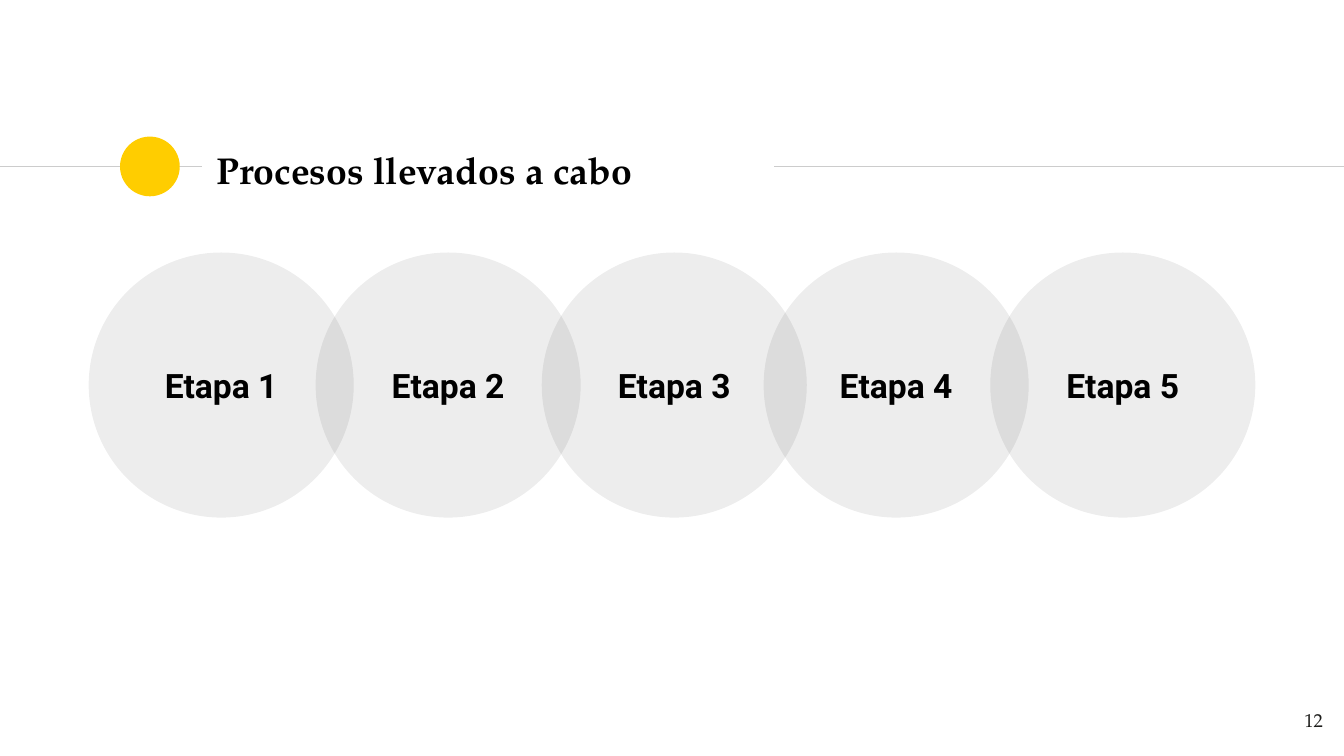
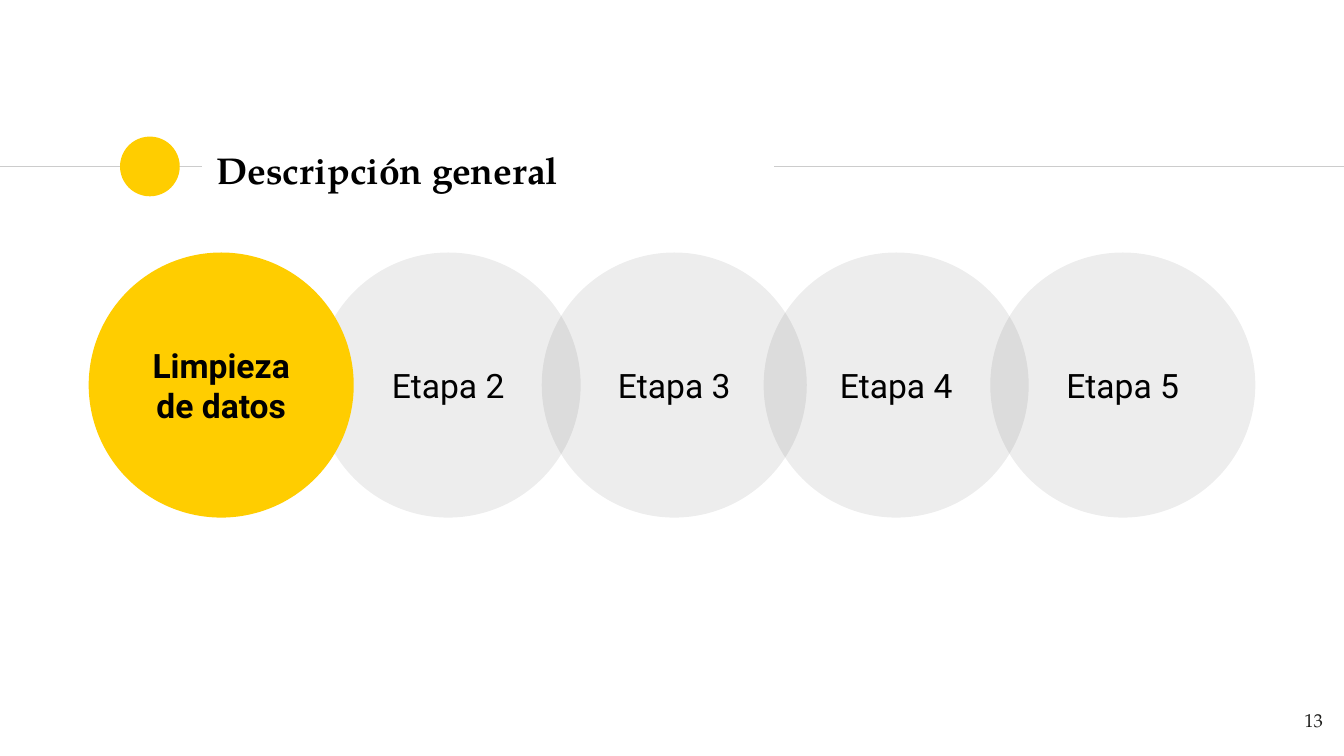
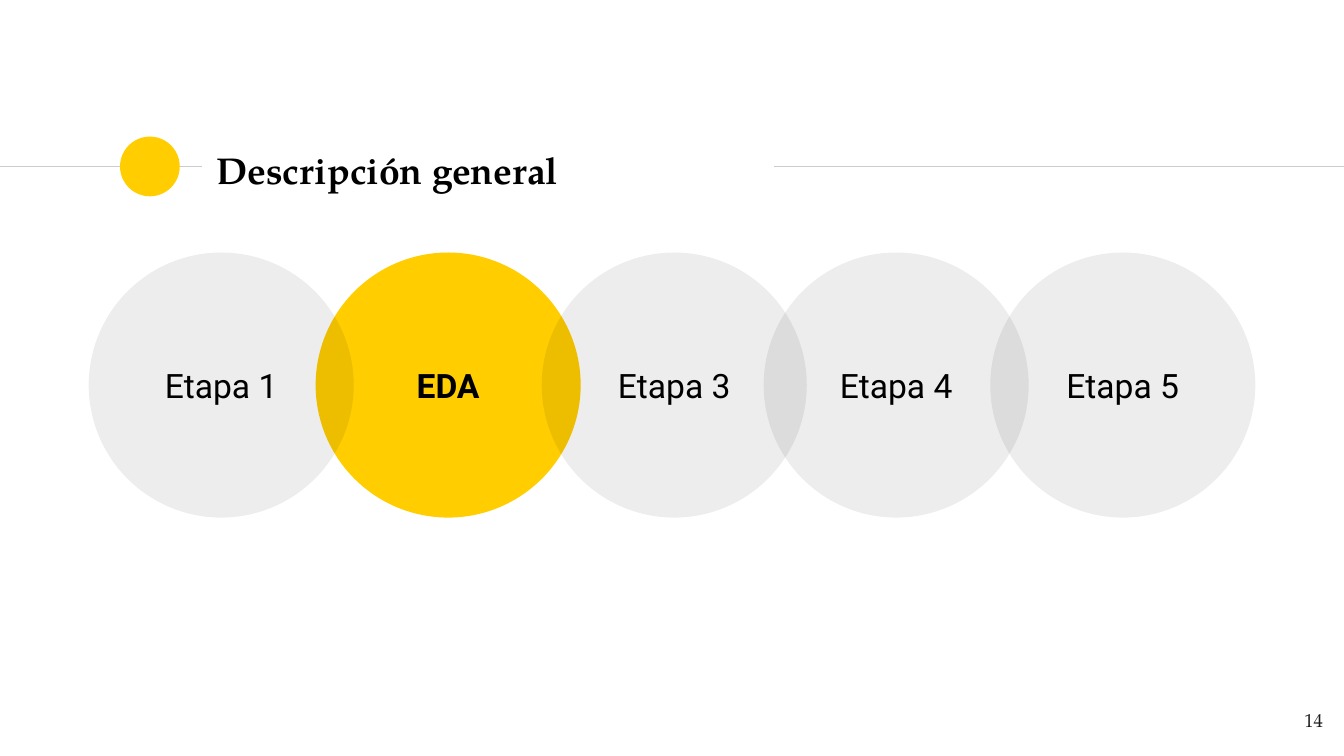
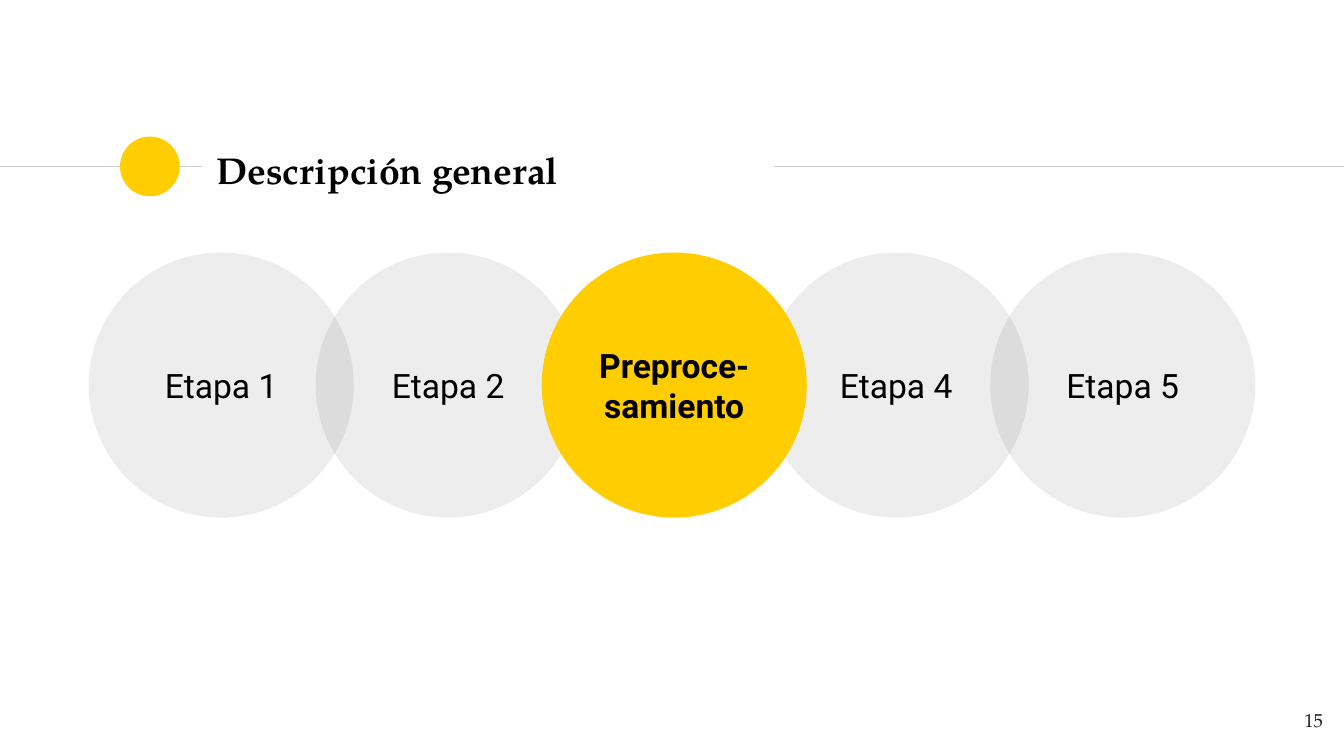
import dataclasses

import pptx
import pptx.dml.color
import pptx.enum.shapes
import pptx.enum.text
import pptx.oxml.ns
import pptx.util
import lxml.etree

Pt = pptx.util.Pt
Rgb = pptx.dml.color.RGBColor.from_string
Align = pptx.enum.text.PP_ALIGN
Anchor = pptx.enum.text.MSO_ANCHOR
Oval = pptx.enum.shapes.MSO_SHAPE.OVAL
Line = pptx.enum.shapes.MSO_CONNECTOR.STRAIGHT
qn = pptx.oxml.ns.qn


@dataclasses.dataclass(frozen=True)
class Theme:
    accent: str = "FFCD00"
    black: str = "000000"
    dark: str = "1D1D1B"
    rule: str = "CCCCCC"
    serif: str = "TeX Gyre Pagella"
    sans: str = "Roboto"
    title: int = 20
    label: int = 18
    number: int = 10
    inset: float = 7.2
    shade: int = 7


theme = Theme()


def write(shape, text, *, size, font, color=theme.black, bold=False,
          align=Align.LEFT, anchor=Anchor.MIDDLE):
    frame = shape.text_frame
    frame.word_wrap = True
    frame.vertical_anchor = anchor
    frame.margin_left = frame.margin_right = Pt(theme.inset)
    frame.margin_top = frame.margin_bottom = Pt(theme.inset)
    para = frame.paragraphs[0]
    para.alignment = align
    run = para.add_run()
    run.text = text
    run.font.size = Pt(size)
    run.font.name = font
    run.font.bold = bold
    run.font.color.rgb = Rgb(color)


def disc(slide, left, top, size, color, alpha=100):
    """Add a borderless circle; alpha is its opacity in percent."""
    shape = slide.shapes.add_shape(Oval, Pt(left), Pt(top), Pt(size), Pt(size))
    shape.shadow.inherit = False
    shape.line.fill.background()
    shape.fill.solid()
    shape.fill.fore_color.rgb = Rgb(color)
    if alpha < 100:
        tint = shape.fill._xPr.find(qn("a:solidFill"))[0]
        lxml.etree.SubElement(tint, qn("a:alpha"), val=str(alpha * 1000))
    return shape


deck = pptx.Presentation()
deck.slide_width, deck.slide_height = Pt(720), Pt(405)
blank = deck.slide_layouts[6]

rule_y = 89.25
rules = [(0, 108), (414.7, 720)]
stages = {1: 47.5, 2: 169.1, 3: 290.2, 4: 409.1, 5: 530.5}
order = [2, 1, 4, 5, 3]  # back to front
first = 12

# Title, highlighted stage (None: all alike), name of that stage
pages = [
    ("Procesos llevados a cabo", None, ""),
    ("Descripción general", 1, "Limpieza de datos"),
    ("Descripción general", 2, "EDA"),
    ("Descripción general", 3, "Preproce-samiento"),
]

for number, (title, active, name) in enumerate(pages, first):
    slide = deck.slides.add_slide(blank)

    for start, end in rules:
        rule = slide.shapes.add_connector(
            Line, Pt(start), Pt(rule_y), Pt(end), Pt(rule_y))
        rule.line.color.rgb = Rgb(theme.rule)
        rule.line.width = Pt(0.75)
        lxml.etree.SubElement(rule._element.spPr, qn("a:effectLst"))
    disc(slide, 64.3, 73.2, 32, theme.accent)

    head = slide.shapes.add_textbox(Pt(108.9), Pt(73.2), Pt(305.5), Pt(34.8))
    write(head, title, size=theme.title, font=theme.serif, bold=True)

    foot = slide.shapes.add_textbox(Pt(672.6), Pt(373.7), Pt(43.2), Pt(31.3))
    write(foot, str(number), size=theme.number, font=theme.serif,
          color=theme.dark, align=Align.RIGHT, anchor=Anchor.TOP)

    for stage in order:
        chosen = stage == active
        color, alpha = ((theme.accent, 100) if chosen
                        else (theme.black, theme.shade))
        circle = disc(slide, stages[stage], 135.3, 142, color, alpha)
        write(circle, name if chosen else f"Etapa {stage}",
              size=theme.label, font=theme.sans,
              bold=chosen or active is None, align=Align.CENTER)

deck.save("out.pptx")
